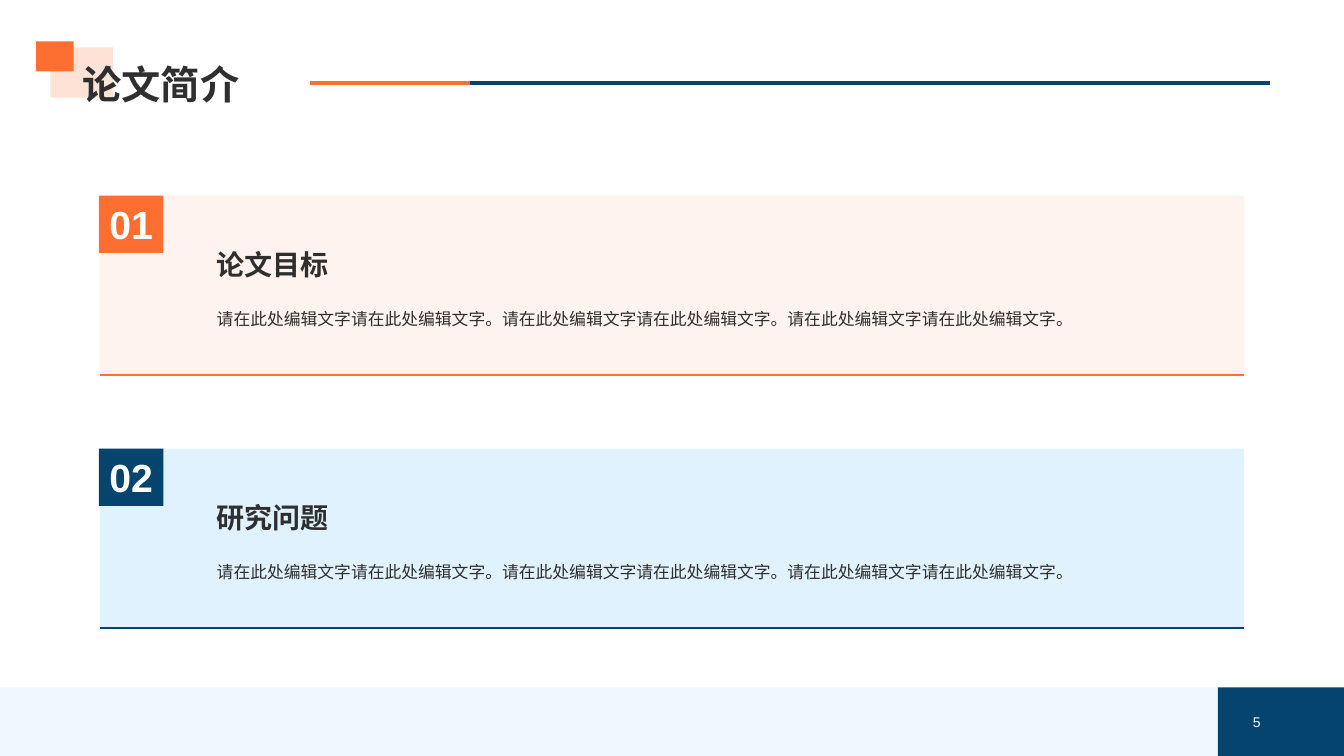
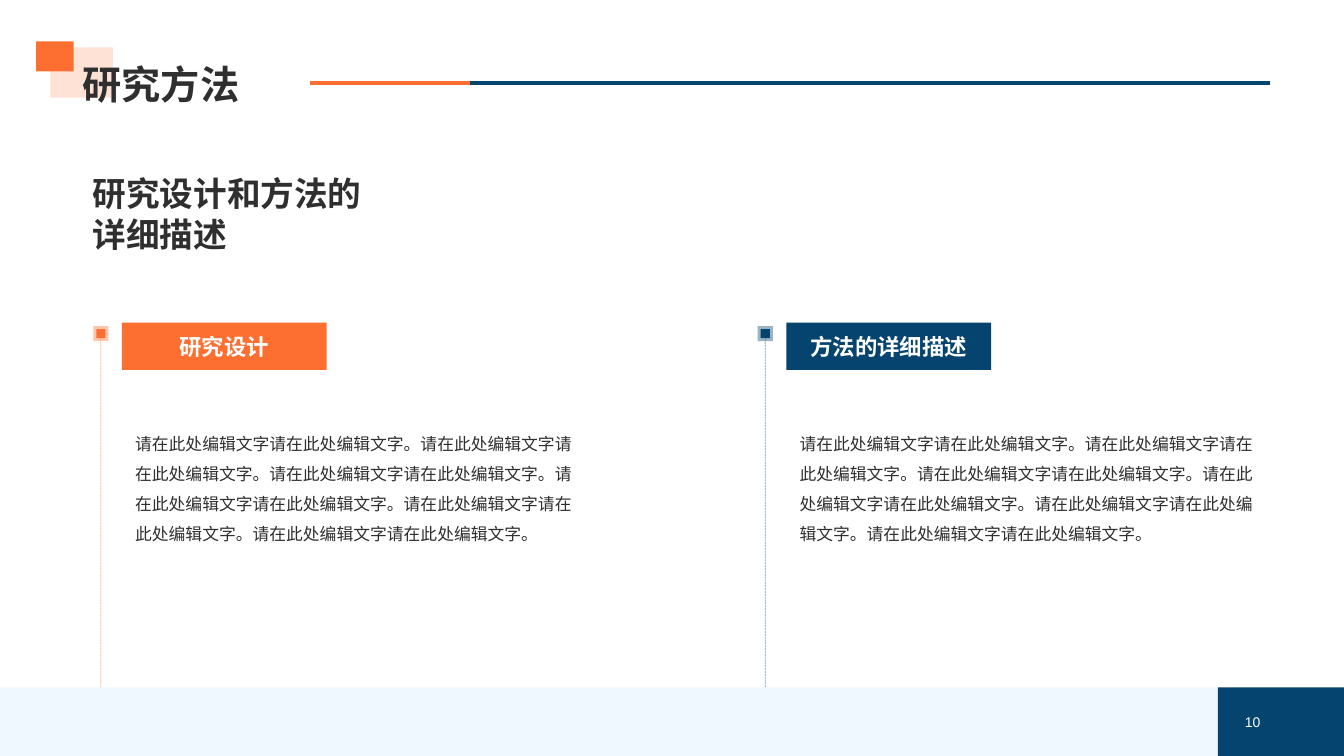
import pptx
import pptx.dml.color
import pptx.enum.dml
import pptx.enum.shapes
import pptx.enum.text
import pptx.oxml
import pptx.util
from pptx.util import Inches

FONT = "Arial"
ORANGE = "FC6F30"
NAVY = "04446E"
PEACH = "FEE2D6"
SKY = "B3DFFC"
INK = "2F2F2F"
WHITE = "FFFFFF"
FOOTER_TOP = 6.82
FOOTER_SPLIT = 12.08
SENTENCE = "请在此处编辑文字请在此处编辑文字。"
ALIGN = pptx.enum.text.PP_ALIGN
ANCHOR = pptx.enum.text.MSO_ANCHOR


def set_color(color_format, color, opacity=100):
    color_format.rgb = pptx.dml.color.RGBColor.from_string(color)
    if opacity < 100:
        element = color_format._xFill.find(".//" + pptx.oxml.ns.qn("a:srgbClr"))
        alpha = element.makeelement(pptx.oxml.ns.qn("a:alpha"), {"val": str(opacity * 1000)})
        element.append(alpha)


def write_text(shape, text, size, color=INK, bold=False, align=ALIGN.LEFT,
               anchor=ANCHOR.TOP, spacing=1.0, insets=(0.1, 0.05), wrap=True):
    frame = shape.text_frame
    frame.word_wrap = wrap
    frame.vertical_anchor = anchor
    frame.margin_left = frame.margin_right = Inches(insets[0])
    frame.margin_top = frame.margin_bottom = Inches(insets[1])
    frame.text = text
    paragraph = frame.paragraphs[0]
    paragraph.alignment = align
    paragraph.line_spacing = spacing
    font = paragraph.font
    font.name = FONT
    font.size = pptx.util.Pt(size)
    font.bold = bold
    set_color(font.color, color)


def add_text(slide, box, text, size, **style):
    shape = slide.shapes.add_textbox(*map(Inches, box))
    write_text(shape, text, size, **style)


def add_rectangle(slide, box, color, opacity=100):
    kind = pptx.enum.shapes.MSO_SHAPE.RECTANGLE
    shape = slide.shapes.add_shape(kind, *map(Inches, box))
    shape.shadow.inherit = False
    shape.fill.solid()
    set_color(shape.fill.fore_color, color, opacity)
    shape.line.fill.background()
    return shape


def add_line(slide, start, end, color, width, opacity=100, dash=None):
    kind = pptx.enum.shapes.MSO_CONNECTOR.STRAIGHT
    line = slide.shapes.add_connector(kind, *map(Inches, start + end))
    line.line.width = pptx.util.Pt(width)
    line.line.fill.solid()
    set_color(line.line.fill.fore_color, color, opacity)
    if dash is not None:
        line.line.dash_style = dash
    properties = line.element.spPr
    properties.append(properties.makeelement(pptx.oxml.ns.qn("a:effectLst"), {}))


def add_page(presentation, title_text, number):
    slide = presentation.slides.add_slide(presentation.slide_layouts[5])
    add_rectangle(slide, (0, FOOTER_TOP, FOOTER_SPLIT, 0.68), SKY, 20)
    add_rectangle(slide, (FOOTER_SPLIT, FOOTER_TOP, 1.25, 0.68), NAVY)
    add_rectangle(slide, (0.5, 0.47, 0.62, 0.5), ORANGE, 20)
    add_rectangle(slide, (0.36, 0.41, 0.37, 0.3), ORANGE)
    add_line(slide, (4.66, 0.82), (12.6, 0.82), NAVY, 3)
    add_line(slide, (3.07, 0.82), (4.66, 0.82), ORANGE, 3)
    title = slide.shapes.title
    title.left, title.top, title.width, title.height = map(Inches, (0.72, 0, 11.88, 1.12))
    write_text(title, title_text, 28, bold=True, anchor=ANCHOR.BOTTOM, spacing=0.9)
    slide.shapes.element.append(title.element)
    add_text(slide, (9.69, 7.04, 2.91, 0.24), number, 10, color=WHITE,
             align=ALIGN.RIGHT, anchor=ANCHOR.MIDDLE)
    return slide


def add_panel(slide, top, number, heading, body, accent, tint):
    left, width, height = 0.99, 11.35, 1.78
    add_rectangle(slide, (left, top, width, height), tint, 40)
    add_text(slide, (2.03, top + 0.39, 10.2, 0.58), heading, 20, bold=True,
             anchor=ANCHOR.BOTTOM, insets=(0.12, 0.12))
    add_text(slide, (2.03, top + 0.94, 10.2, 0.48), body, 12, spacing=1.3,
             insets=(0.12, 0.12))
    badge = add_rectangle(slide, (left - 0.01, top, 0.64, 0.57), accent)
    write_text(badge, number, 28, color=WHITE, bold=True, align=ALIGN.CENTER, wrap=False)
    bottom = top + height
    add_line(slide, (left, bottom), (left + width, bottom), accent, 2)


def add_column(slide, axis, body_width, heading, body, accent):
    marker_middle = 3.31
    add_line(slide, (axis, marker_middle), (axis, FOOTER_TOP), accent, 0.5, 50,
             pptx.enum.dml.MSO_LINE.SQUARE_DOT)
    label = add_rectangle(slide, (axis + 0.21, 3.2, 2.03, 0.47), accent)
    write_text(label, heading, 16, color=WHITE, bold=True, align=ALIGN.CENTER,
               anchor=ANCHOR.MIDDLE, insets=(0.1, 0.1))
    add_text(slide, (axis + 0.22, 4.08, body_width, 1.72), body, 12, spacing=1.5,
             insets=(0.12, 0.12))
    for size, opacity in ((0.15, 40), (0.09, 100)):
        box = (axis - size / 2, marker_middle - size / 2, size, size)
        add_rectangle(slide, box, accent, opacity)


def add_introduction(presentation):
    slide = add_page(presentation, "论文简介", "5")
    add_panel(slide, 1.94, "01", "论文目标", SENTENCE * 3, ORANGE, PEACH)
    add_panel(slide, 4.45, "02", "研究问题", SENTENCE * 3, NAVY, SKY)


def add_methods(presentation):
    slide = add_page(presentation, "研究方法", "10")
    add_text(slide, (0.82, 1.67, 3.01, 0.91), "研究设计和方法的详细描述", 24, bold=True)
    add_column(slide, 1, 4.58, "研究设计", SENTENCE * 6, ORANGE)
    add_column(slide, 7.59, 4.78, "方法的详细描述", SENTENCE * 6, NAVY)


def main():
    presentation = pptx.Presentation()
    presentation.slide_width = Inches(13.33)
    presentation.slide_height = Inches(7.5)
    add_introduction(presentation)
    add_methods(presentation)
    presentation.save("out.pptx")


if __name__ == "__main__":
    main()
